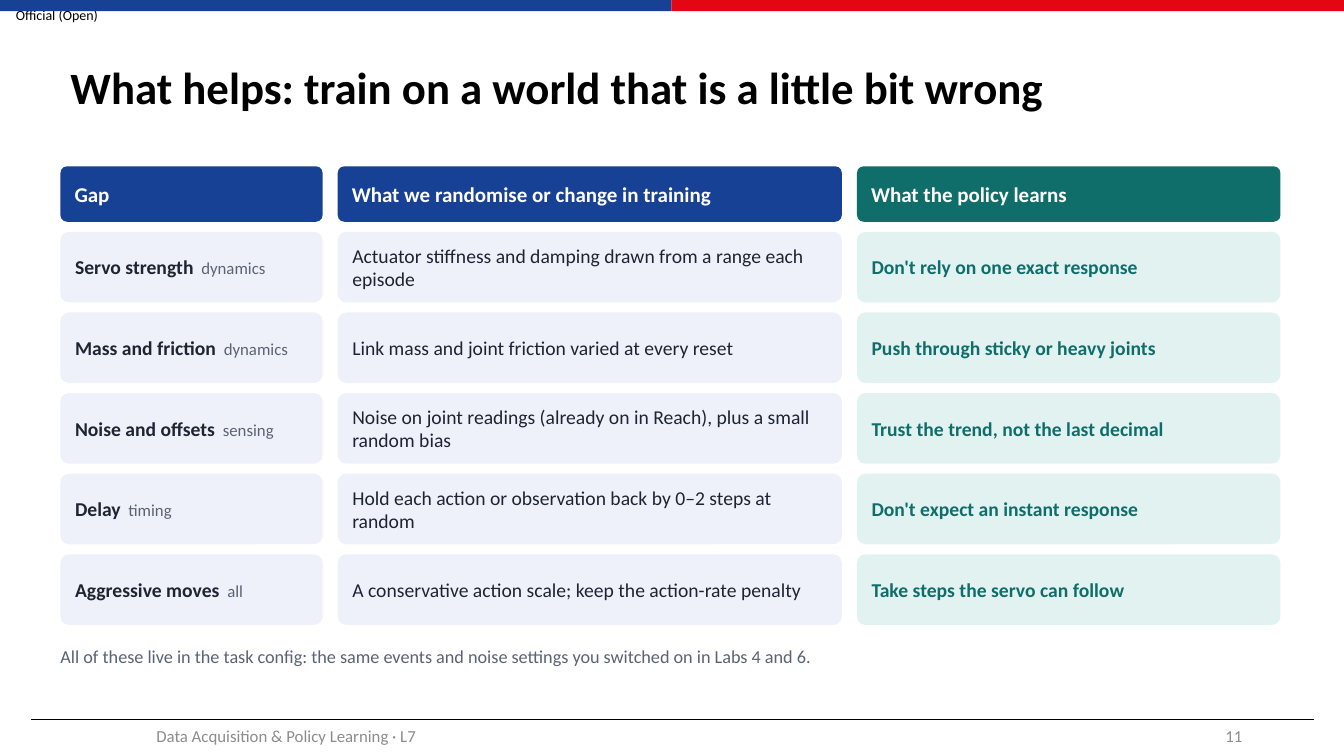
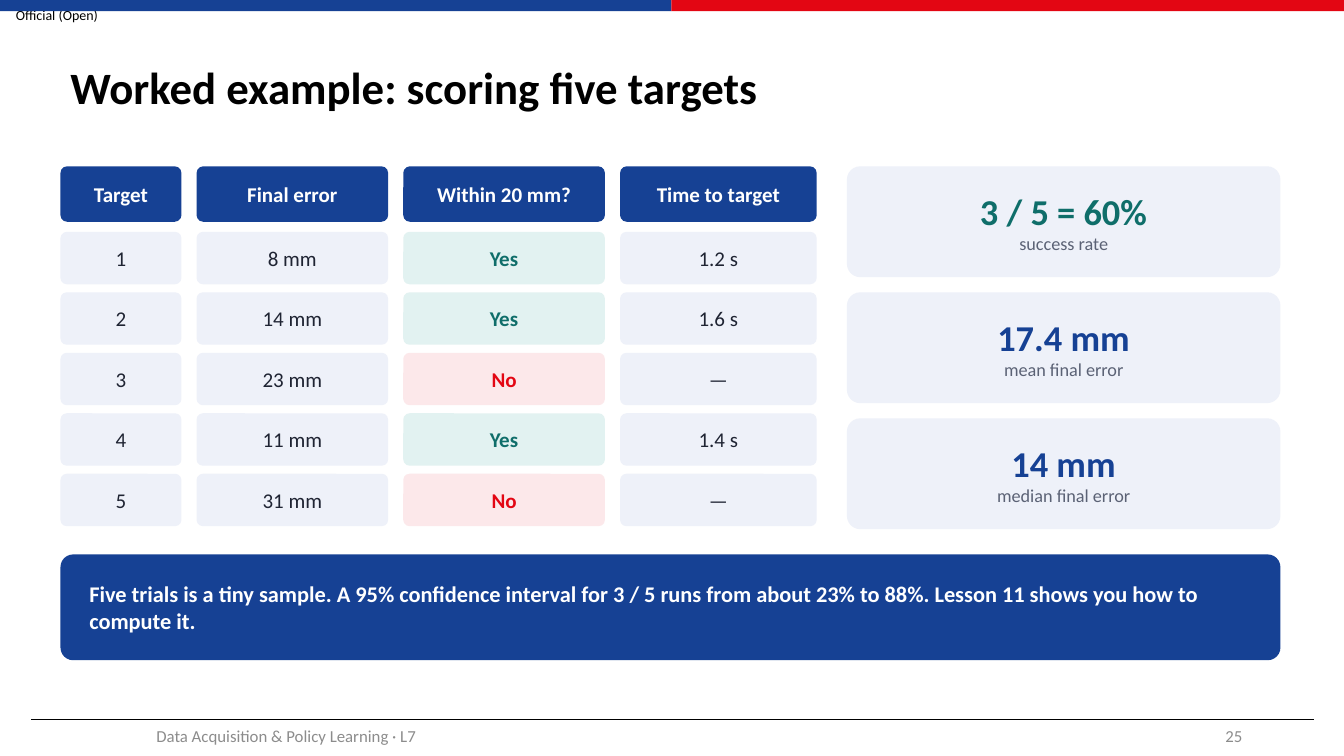
from dataclasses import dataclass
from itertools import accumulate

from lxml import etree
from pptx import Presentation
from pptx.dml.color import RGBColor
from pptx.enum.shapes import MSO_CONNECTOR, MSO_SHAPE
from pptx.enum.text import MSO_ANCHOR, PP_ALIGN
from pptx.oxml.ns import qn
from pptx.util import Emu, Pt

RECT, ROUNDED = MSO_SHAPE.RECTANGLE, MSO_SHAPE.ROUNDED_RECTANGLE
STRAIGHT = MSO_CONNECTOR.STRAIGHT
TOP, MIDDLE = MSO_ANCHOR.TOP, MSO_ANCHOR.MIDDLE
LEFT, CENTER, RIGHT = PP_ALIGN.LEFT, PP_ALIGN.CENTER, PP_ALIGN.RIGHT

# One scale: 100 px to the inch
EMU_PER_PX = 9144
SLIDE_W, SLIDE_H = 1333, 750

FONT = "Calibri"
BLUE, RED, TEAL = "164194", "E30613", "0F6E6A"
PALE_BLUE, PALE_TEAL, PALE_RED = "EEF1F9", "E2F2F1", "FCE8EA"
INK, MUTED, FOOTER_GREY = "1F2433", "5B6275", "8C8C8C"
BLACK, WHITE = "000000", "FFFFFF"

# Shared content grid
MARGIN, CONTENT_W = 60, 1210
HEADER_TOP, HEADER_H = 165, 55
ROWS_TOP = 230
COLUMN_GAP = 15


@dataclass(frozen=True)
class Box:
    x: int
    y: int
    w: int
    h: int


@dataclass(frozen=True)
class TextStyle:
    size: int
    color: str
    bold: bool = False
    align: PP_ALIGN = LEFT


@dataclass(frozen=True)
class Line:
    text: str
    style: TextStyle
    tag: str = ""


@dataclass(frozen=True)
class GapRow:
    gap: str
    kind: str
    change: str
    lesson: str


@dataclass(frozen=True)
class Trial:
    error: str
    within: bool
    time: str


@dataclass(frozen=True)
class Metric:
    value: str
    label: str
    color: str


TITLE = TextStyle(32, BLACK, True)
TAG = TextStyle(12, MUTED)
NOTE = TextStyle(13, MUTED)

GAP_COLUMNS = (260, 500, 420)
GAP_HEADERS = (
    ("Gap", BLUE),
    ("What we randomise or change in training", BLUE),
    ("What the policy learns", TEAL),
)
GAP_ROWS = (
    GapRow("Servo strength", "dynamics",
           "Actuator stiffness and damping drawn from a range each episode",
           "Don't rely on one exact response"),
    GapRow("Mass and friction", "dynamics",
           "Link mass and joint friction varied at every reset",
           "Push through sticky or heavy joints"),
    GapRow("Noise and offsets", "sensing",
           "Noise on joint readings (already on in Reach), plus a small random bias",
           "Trust the trend, not the last decimal"),
    GapRow("Delay", "timing",
           "Hold each action or observation back by 0–2 steps at random",
           "Don't expect an instant response"),
    GapRow("Aggressive moves", "all",
           "A conservative action scale; keep the action-rate penalty",
           "Take steps the servo can follow"),
)

TRIAL_COLUMNS = (120, 190, 200, 195)
TRIAL_HEADERS = ("Target", "Final error", "Within 20 mm?", "Time to target")
TRIALS = (
    Trial("8 mm", True, "1.2 s"),
    Trial("14 mm", True, "1.6 s"),
    Trial("23 mm", False, "—"),
    Trial("11 mm", True, "1.4 s"),
    Trial("31 mm", False, "—"),
)
METRICS = (
    Metric("3 / 5 = 60%", "success rate", TEAL),
    Metric("17.4 mm", "mean final error", BLUE),
    Metric("14 mm", "median final error", BLUE),
)


def px(length: int) -> Emu:
    return Emu(length * EMU_PER_PX)


def rgb(value: str) -> RGBColor:
    return RGBColor.from_string(value)


def place(box: Box) -> tuple[Emu, Emu, Emu, Emu]:
    return px(box.x), px(box.y), px(box.w), px(box.h)


def set_font(font, style: TextStyle) -> None:
    font.name = FONT
    font.size = Pt(style.size)
    font.bold = style.bold
    font.color.rgb = rgb(style.color)


def add_tag(paragraph, tag: str) -> None:
    """Append a small grey tag after one widened space."""
    spacer = paragraph.add_run()
    spacer.text = " "
    set_font(spacer.font, TAG)
    spacer._r.get_or_add_rPr().set("spc", "270")
    label = paragraph.add_run()
    label.text = tag
    set_font(label.font, TAG)


def write(shape, lines: tuple[Line, ...], inset: tuple[int, int],
          anchor: MSO_ANCHOR = MIDDLE) -> None:
    frame = shape.text_frame
    frame.word_wrap = True
    frame.vertical_anchor = anchor
    frame.margin_left = frame.margin_right = px(inset[0])
    frame.margin_top = frame.margin_bottom = px(inset[1])
    for index, line in enumerate(lines):
        paragraph = frame.add_paragraph() if index else frame.paragraphs[0]
        paragraph.alignment = line.style.align
        run = paragraph.add_run()
        run.text = line.text
        if line.tag:
            set_font(run.font, line.style)
            add_tag(paragraph, line.tag)
        else:
            set_font(paragraph.font, line.style)


def add_text(slide, box: Box, line: Line, inset: tuple[int, int] = (10, 5),
             anchor: MSO_ANCHOR = MIDDLE):
    label = slide.shapes.add_textbox(*place(box))
    write(label, (line,), inset, anchor)
    return label


def add_block(slide, kind: MSO_SHAPE, box: Box, fill: str):
    block = slide.shapes.add_shape(kind, *place(box))
    block.shadow.inherit = False
    block.fill.solid()
    block.fill.fore_color.rgb = rgb(fill)
    block.line.fill.background()
    return block


def add_card(slide, box: Box, fill: str, *lines: Line,
             inset: tuple[int, int]) -> None:
    card = add_block(slide, ROUNDED, box, fill)
    card.adjustments[0] = 0.12
    write(card, lines, inset)


def column_boxes(widths: tuple[int, ...], top: int, height: int) -> list[Box]:
    lefts = accumulate((w + COLUMN_GAP for w in widths), initial=MARGIN)
    return [Box(x, top, w, height) for x, w in zip(lefts, widths)]


def add_base_slide(deck, title: str, number: int):
    """Blank slide with classification, band, title and footer."""
    slide = deck.slides.add_slide(deck.slide_layouts[6])
    add_text(slide, Box(0, 0, 113, 29),
             Line("Official (Open)", TextStyle(10, BLACK, align=CENTER)), (0, 0))

    # Two-colour top band
    half = SLIDE_W // 2
    add_block(slide, RECT, Box(0, 0, half, 11), BLUE)
    add_block(slide, RECT, Box(half, 0, SLIDE_W - half, 11), RED)

    # Footer rule
    rule = slide.shapes.add_connector(STRAIGHT, px(31), px(714), px(1303), px(714))
    rule.line.color.rgb = rgb(BLACK)
    rule.line.width = Pt(0.5)
    etree.SubElement(rule._element.spPr, qn("a:effectLst"))

    heading = add_text(slide, Box(MARGIN, 30, 1208, 118), Line(title, TITLE))
    heading.text_frame.paragraphs[0].line_spacing = 0.9

    # Footer text and slide number
    add_text(slide, Box(59, 710, 450, 40),
             Line("Data Acquisition & Policy Learning · L7",
                  TextStyle(12, FOOTER_GREY, align=CENTER)))
    add_text(slide, Box(942, 710, 300, 40),
             Line(str(number), TextStyle(12, FOOTER_GREY, align=RIGHT)))
    return slide


def build_gap_slide(deck) -> None:
    slide = add_base_slide(
        deck, "What helps: train on a world that is a little bit wrong", 11)
    inset = (12, 6)
    header = TextStyle(15, WHITE, True)
    for box, (text, fill) in zip(
            column_boxes(GAP_COLUMNS, HEADER_TOP, HEADER_H), GAP_HEADERS):
        add_card(slide, box, fill, Line(text, header), inset=inset)

    row_h, row_pitch = 70, 80
    for index, row in enumerate(GAP_ROWS):
        cells = (
            (PALE_BLUE, Line(row.gap, TextStyle(14, INK, True), row.kind)),
            (PALE_BLUE, Line(row.change, TextStyle(14, INK))),
            (PALE_TEAL, Line(row.lesson, TextStyle(14, TEAL, True))),
        )
        boxes = column_boxes(GAP_COLUMNS, ROWS_TOP + index * row_pitch, row_h)
        for box, (fill, line) in zip(boxes, cells):
            add_card(slide, box, fill, line, inset=inset)

    add_text(slide, Box(MARGIN, 640, CONTENT_W, 35),
             Line("All of these live in the task config: the same events and "
                  "noise settings you switched on in Labs 4 and 6.", NOTE),
             (0, 0), TOP)


def build_scoring_slide(deck) -> None:
    slide = add_base_slide(deck, "Worked example: scoring five targets", 25)

    # Trial grid
    header = TextStyle(15, WHITE, True, CENTER)
    for box, text in zip(
            column_boxes(TRIAL_COLUMNS, HEADER_TOP, HEADER_H), TRIAL_HEADERS):
        add_card(slide, box, BLUE, Line(text, header), inset=(4, 4))

    plain = TextStyle(15, INK, align=CENTER)
    row_h, row_pitch = 52, 60
    for index, trial in enumerate(TRIALS):
        verdict, color, tint = (
            ("Yes", TEAL, PALE_TEAL) if trial.within else ("No", RED, PALE_RED))
        cells = (
            (PALE_BLUE, Line(str(index + 1), plain)),
            (PALE_BLUE, Line(trial.error, plain)),
            (tint, Line(verdict, TextStyle(15, color, True, CENTER))),
            (PALE_BLUE, Line(trial.time, plain)),
        )
        boxes = column_boxes(TRIAL_COLUMNS, ROWS_TOP + index * row_pitch, row_h)
        for box, (fill, line) in zip(boxes, cells):
            add_card(slide, box, fill, line, inset=(4, 2))

    # Summary metrics
    metric_h, metric_pitch = 110, 125
    for index, metric in enumerate(METRICS):
        add_card(slide,
                 Box(840, HEADER_TOP + index * metric_pitch, 430, metric_h),
                 PALE_BLUE,
                 Line(metric.value, TextStyle(26, metric.color, True, CENTER)),
                 Line(metric.label, TextStyle(13, MUTED, align=CENTER)),
                 inset=(10, 4))

    # Takeaway
    add_card(slide, Box(MARGIN, 550, CONTENT_W, 105), BLUE,
             Line("Five trials is a tiny sample. A 95% confidence interval for "
                  "3 / 5 runs from about 23% to 88%. Lesson 11 shows you how to "
                  "compute it.", TextStyle(16, WHITE, True)),
             inset=(25, 8))


def main() -> None:
    deck = Presentation()
    deck.slide_width, deck.slide_height = px(SLIDE_W), px(SLIDE_H)
    build_gap_slide(deck)
    build_scoring_slide(deck)
    deck.save("out.pptx")


if __name__ == "__main__":
    main()
